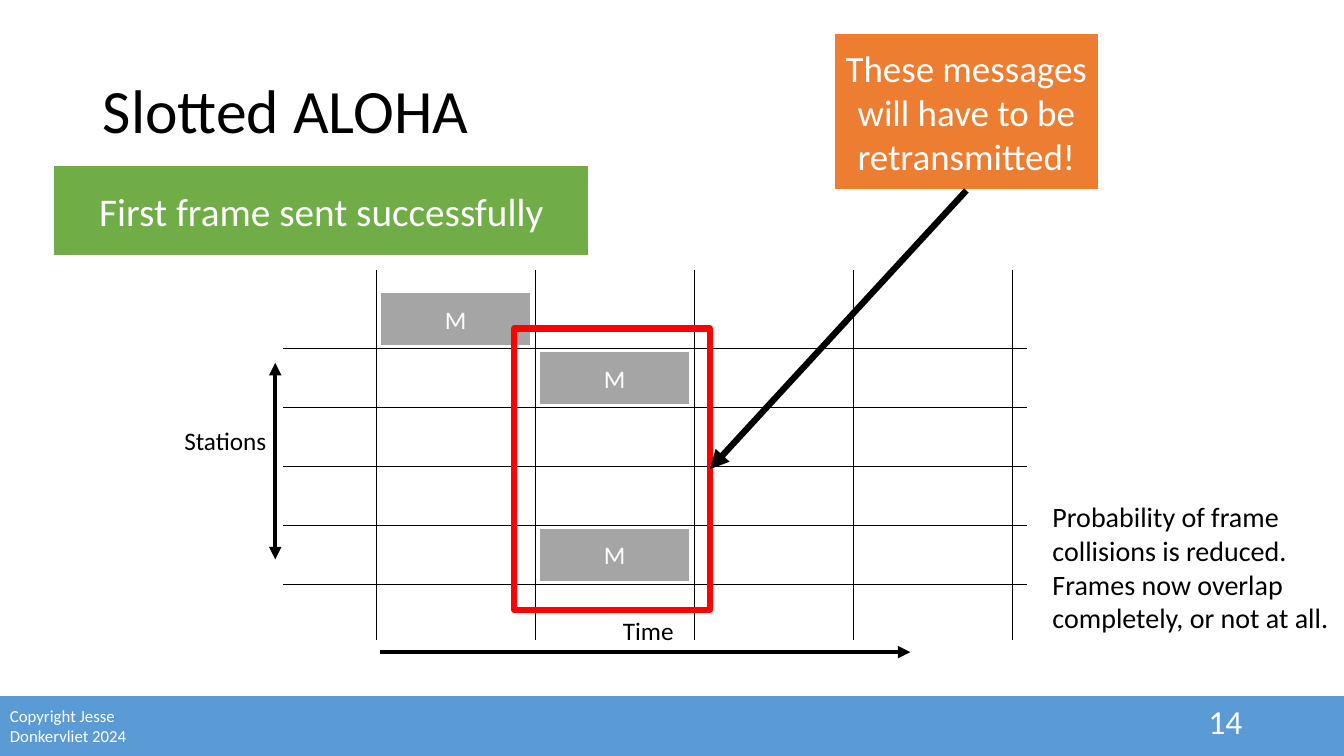
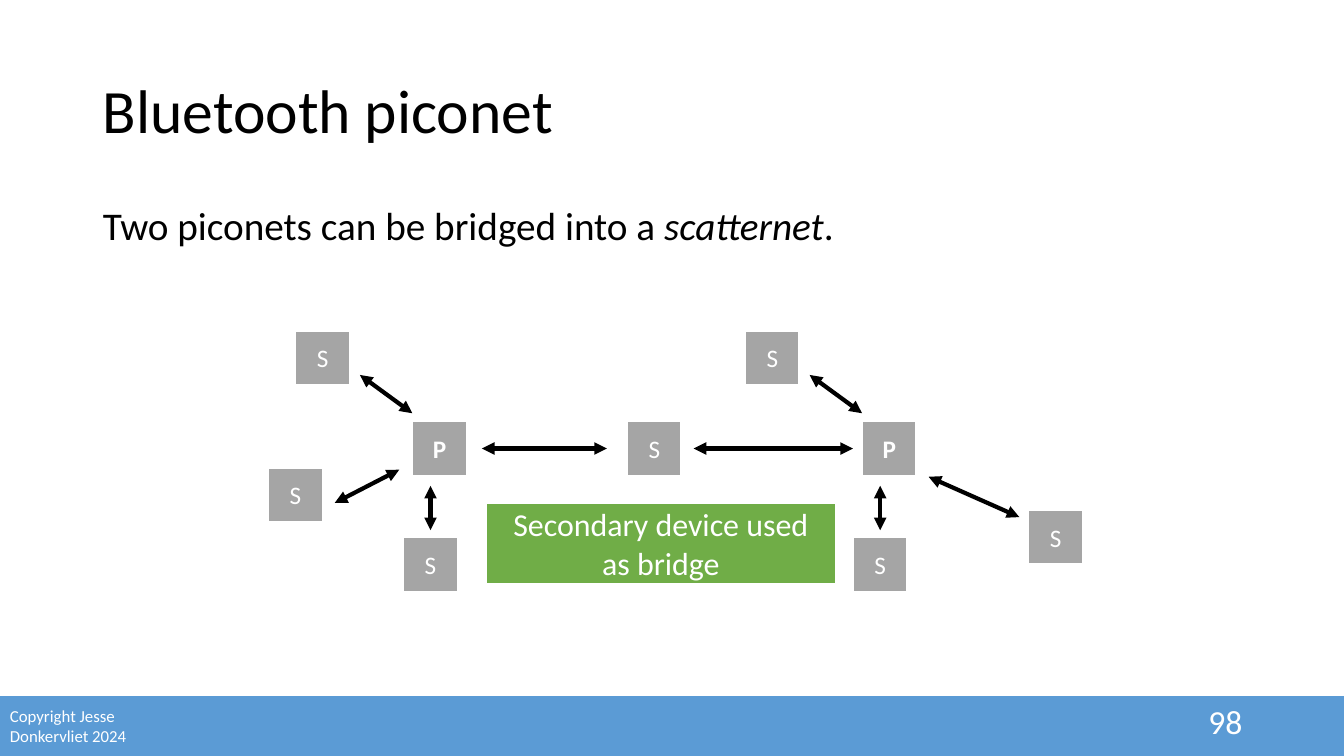
from pptx import Presentation
from pptx.dml.color import RGBColor
from pptx.enum.shapes import MSO_CONNECTOR, MSO_SHAPE
from pptx.enum.text import MSO_ANCHOR, MSO_AUTO_SIZE, PP_ALIGN
from pptx.oxml.ns import qn
from pptx.util import Inches, Pt
from lxml.etree import SubElement

FONT = "Calibri"
BLACK, WHITE, GREY = "000000", "FFFFFF", "A5A5A5"
BLUE, GREEN, ORANGE, RED = "5B9BD5", "70AD47", "ED7D31", "FF0000"
TITLE_AND_BODY, TITLE_ONLY = 1, 5
NODE = 0.54  # side of a device square


def rgb(color):
    return RGBColor.from_string(color)


def place(shape, left, top, width, height):
    shape.left, shape.top = Inches(left), Inches(top)
    shape.width, shape.height = Inches(width), Inches(height)


def style(paragraph, size, color, align=PP_ALIGN.LEFT, bold=None):
    paragraph.alignment = align
    font = paragraph.font
    font.name, font.size, font.bold = FONT, Pt(size), bold
    font.color.rgb = rgb(color)


def rectangle(slide, box, fill=None, line=WHITE, width=1.5):
    shape = slide.shapes.add_shape(MSO_SHAPE.RECTANGLE, *map(Inches, box))
    shape.shadow.inherit = False
    if fill:
        shape.fill.solid()
        shape.fill.fore_color.rgb = rgb(fill)
    else:
        shape.fill.background()
    shape.line.color.rgb = rgb(line)
    shape.line.width = Pt(width)
    return shape


def block(slide, box, text, size, fill, bold=None):
    """Filled rectangle with centred white text."""
    shape = rectangle(slide, box, fill)
    shape.text_frame.text = text
    style(shape.text_frame.paragraphs[0], size, WHITE, PP_ALIGN.CENTER, bold)
    return shape


def label(slide, box, text, size, color=BLACK, align=PP_ALIGN.LEFT,
          anchor=MSO_ANCHOR.TOP):
    frame = slide.shapes.add_textbox(*map(Inches, box)).text_frame
    frame.word_wrap = True
    frame.vertical_anchor = anchor
    frame.text = text
    style(frame.paragraphs[0], size, color, align)


def line(slide, start, end, width=3, ends=()):
    """Straight line; ends may hold headEnd and tailEnd for arrowheads."""
    connector = slide.shapes.add_connector(
        MSO_CONNECTOR.STRAIGHT, *map(Inches, (*start, *end)))
    connector.line.color.rgb = rgb(BLACK)
    connector.line.width = Pt(width)
    properties = connector._element.spPr
    for name in ends:
        SubElement(properties.find(qn("a:ln")), qn(f"a:{name}"), type="triangle")
    SubElement(properties, qn("a:effectLst"))
    return connector


def double_arrow(slide, start, end):
    line(slide, start, end, ends=("headEnd", "tailEnd"))


def footer(slide, number):
    rectangle(slide, (-0.31, 6.89, 13.95, 0.81), BLUE)
    label(slide, (0, 6.95, 1.47, 0.5), "Copyright Jesse Donkervliet 2024", 12,
          WHITE, anchor=MSO_ANCHOR.MIDDLE)
    label(slide, (9.42, 6.95, 3, 0.4), number, 24, WHITE, PP_ALIGN.RIGHT,
          MSO_ANCHOR.MIDDLE)


def new_slide(deck, layout, title, number):
    """Slide with the shared title style and footer band."""
    slide = deck.slides.add_slide(deck.slide_layouts[layout])
    heading = slide.shapes.title
    place(heading, 0.92, 0.4, 11.5, 1.45)
    frame = heading.text_frame
    frame.text = title
    frame.auto_size = MSO_AUTO_SIZE.NONE
    frame.vertical_anchor = MSO_ANCHOR.MIDDLE
    frame.paragraphs[0].line_spacing = 0.9
    style(frame.paragraphs[0], 44, BLACK)
    footer(slide, number)
    return slide


def slot_diagram(slide, left, top, width, height):
    """Stations by time slots, with frames and the collision outline."""
    slot, row = 1.577, 0.585
    first_slot, first_row = left + 0.92, top + 0.78

    # Frames, as (slot, station)
    for column, station in ((0, 0), (1, 1), (1, 4)):
        block(slide, (first_slot + column * slot + 0.04,
                      first_row + (station - 1) * row + 0.02, 1.5, 0.54),
              "M", 18, GREY)

    # Grid
    for i in range(5):
        y = first_row + i * row
        line(slide, (left, y), (left + width, y), 0.5)
    for i in range(5):
        x = first_slot + i * slot
        line(slide, (x, top), (x, top + height), 0.5)

    # Axes
    time_y, stations_x = top + height + 0.12, left - 0.08
    line(slide, (left + 0.96, time_y), (left + 6.22, time_y), ends=("tailEnd",))
    label(slide, (left + 3.27, time_y - 0.41, 0.84, 0.4), "Time", 18)
    double_arrow(slide, (stations_x, top + 0.92), (stations_x, top + 2.87))
    label(slide, (stations_x - 1, top + 1.49, 1.23, 0.4), "Stations", 18)

    return rectangle(slide, (left + 2.29, top + 0.58, 1.94, 2.79),
                     line=RED, width=4.5)


def aloha_slide(deck):
    slide = new_slide(deck, TITLE_ONLY, "Slotted ALOHA", "14")
    collision = slot_diagram(slide, 2.81, 2.68, 7.38, 3.67)

    # Callout tied to the collision
    callout = block(slide, (8.27, 0.33, 2.63, 1.56),
                    "These messages will have to be retransmitted!", 26.4, ORANGE)
    pointer = line(slide, (9.58, 1.89), (7.04, 4.66), 4.5, ("tailEnd",))
    pointer.begin_connect(callout, 2)
    pointer.end_connect(collision, 3)

    block(slide, (0.53, 1.64, 5.31, 0.9), "First frame sent successfully", 28, GREEN)
    label(slide, (10.34, 4.91, 3.27, 1.45),
          "Probability of frame collisions is reduced. "
          "Frames now overlap completely, or not at all.", 20)


def device(slide, left, top, role):
    block(slide, (left, top, NODE, NODE), role, 18, GREY, bold=role == "P" or None)


def piconet(slide, left, top, outer):
    """Primary at left, top; secondaries and arrows are offsets from it."""
    device(slide, left, top, "P")
    secondaries = (
        ((-1.16, -0.9), (0, -0.08), (-0.52, -0.46)),
        ((-0.09, 1.15), (0.18, 0.64), (0.18, 1.08)),
        outer,
    )
    for spot, start, end in secondaries:
        (x, y), start, end = ((left + dx, top + dy) for dx, dy in (spot, start, end))
        device(slide, x, y, "S")
        double_arrow(slide, start, end)


def scatternet(slide, left, top):
    """Two piconets joined by a shared secondary; left, top is the first primary."""
    piconet(slide, left, top, ((-1.43, 0.46), (-0.13, 0.48), (-0.77, 0.81)))
    piconet(slide, left + 4.46, top, ((1.65, 0.88), (0.66, 0.55), (1.56, 0.95)))

    # Bridge
    device(slide, left + 2.13, top, "S")
    middle = top + NODE / 2
    for start, end in ((1.93, 0.69), (4.37, 2.79)):
        double_arrow(slide, (left + start, middle), (left + end, middle))
    block(slide, (left + 0.73, top + 0.81, 3.47, 0.8),
          "Secondary device used as bridge", 22.8, GREEN)


def piconet_slide(deck):
    slide = new_slide(deck, TITLE_AND_BODY, "Bluetooth piconet", "98")

    # Statement
    body = slide.placeholders[1]
    place(body, 0.92, 2, 11.5, 4.76)
    body.text_frame.auto_size = MSO_AUTO_SIZE.NONE
    statement = body.text_frame.paragraphs[0]
    for text, italic in (("Two piconets can be bridged into a ", None),
                         ("scatternet", True), (".", None)):
        run = statement.add_run()
        run.text, run.font.italic = text, italic
    statement.line_spacing, statement.space_before = 0.9, Pt(0)
    properties = statement._p.get_or_add_pPr()
    properties.set("marL", "0")
    properties.set("indent", "0")
    SubElement(properties, qn("a:buNone"))
    style(statement, 28, BLACK)

    scatternet(slide, 4.09, 4.18)


def main():
    deck = Presentation()
    deck.slide_width, deck.slide_height = Inches(13.33), Inches(7.5)
    aloha_slide(deck)
    piconet_slide(deck)
    deck.save("out.pptx")


if __name__ == "__main__":
    main()
